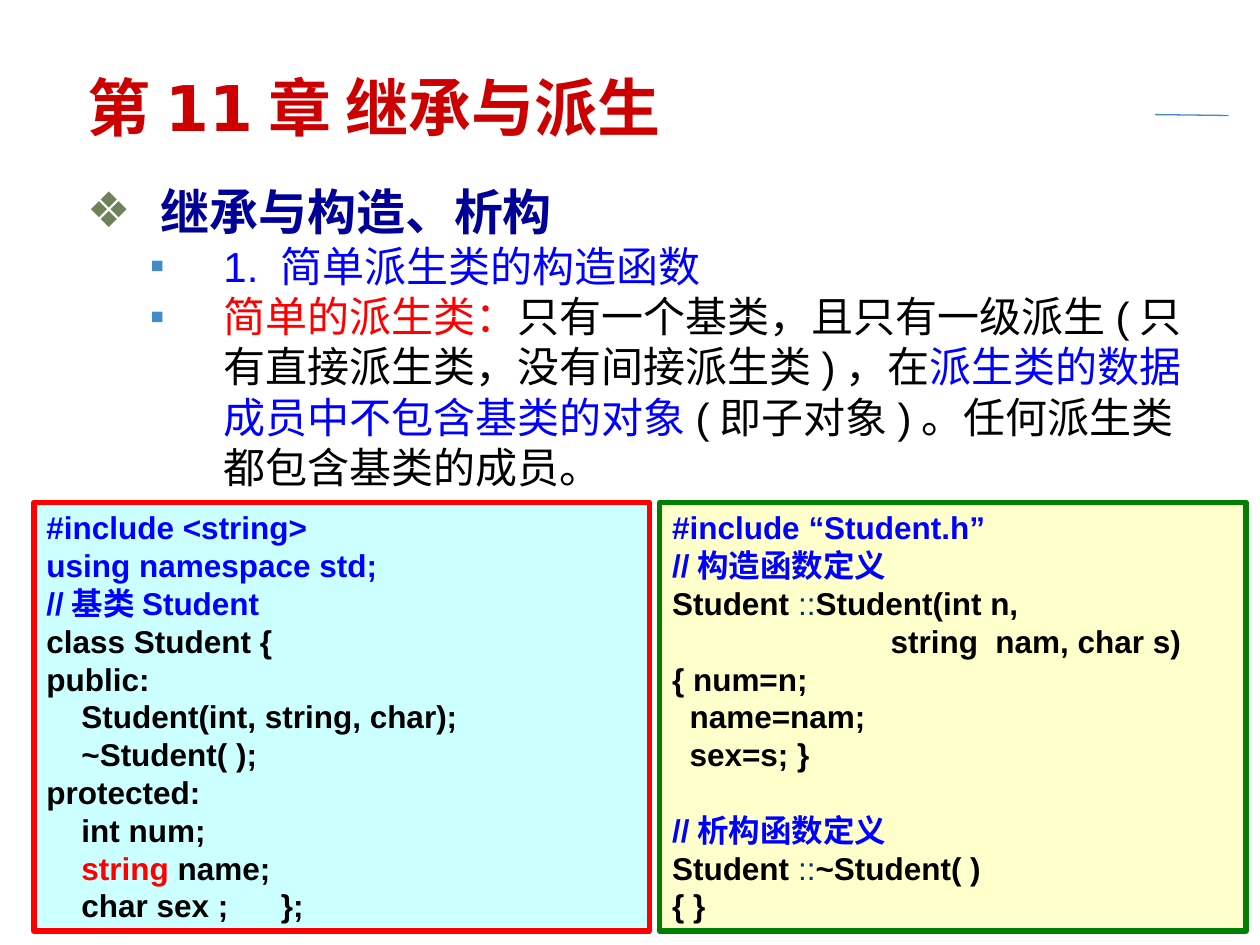
from dataclasses import dataclass

from lxml import etree
from pptx import Presentation
from pptx.dml.color import RGBColor
from pptx.enum import shapes, text
from pptx.oxml import ns
from pptx.util import Pt


@dataclass(frozen=True)
class Theme:
    title: str = "CC0000"
    heading: str = "000099"
    blue: str = "0000FF"
    red: str = "FF0000"
    black: str = "000000"
    scope: str = "003366"
    diamond: str = "6E815B"
    accent: str = "438ACB"
    cyan: str = "CCFFFF"
    yellow: str = "FFFFCC"
    green: str = "008000"
    title_size: float = 36
    heading_size: float = 28
    body_size: float = 24
    code_size: float = 18
    display_font: str = "DejaVu Sans"
    latin_font: str = "Arial"
    chinese_font: str = "Noto Sans CJK SC"
    leading: float = 1.2


THEME = Theme()

# Each line is a list of (text, colour) pieces.
POINTS = [
    [("1. 简单派生类的构造函数", THEME.blue)],
    [
        ("简单的派生类：", THEME.red),
        ("只有一个基类，且只有一级派生(只有直接派生类，没有间接派生类)，在", THEME.black),
        ("派生类的数据成员中不包含基类的对象", THEME.blue),
        ("(即子对象)。任何派生类都包含基类的成员。", THEME.black),
    ],
]
BASE_CLASS = [
    [("#include <string>", THEME.blue)],
    [("using namespace std;", THEME.blue)],
    [("//基类Student", THEME.blue)],
    [("class Student {", THEME.black)],
    [("public:", THEME.black)],
    [("    Student(int, string, char);", THEME.black)],
    [("    ~Student( );", THEME.black)],
    [("protected:", THEME.black)],
    [("    int num;", THEME.black)],
    [("   ", THEME.black), (" string", THEME.red), (" name;", THEME.black)],
    [("    char sex ;      };", THEME.black)],
]
MEMBER_FUNCTIONS = [
    [("#include “Student.h”", THEME.blue)],
    [("//构造函数定义", THEME.blue)],
    [("Student", THEME.black), (" ::", THEME.scope), ("Student(int n,", THEME.black)],
    [("                         string  nam, char s)", THEME.black)],
    [("{ num=n;", THEME.black)],
    [("  name=nam;", THEME.black)],
    [("  sex=s; }", THEME.black)],
    [],
    [("//析构函数定义", THEME.blue)],
    [("Student", THEME.black), (" ::", THEME.scope), ("~Student( )", THEME.black)],
    [("{ }", THEME.black)],
]


def apply(target, values):
    for name, value in values.items():
        setattr(target, name, value)


def place(shape, box):
    apply(shape, dict(zip(("left", "top", "width", "height"), map(Pt, box))))


def add_span(para, words, color, size, font, bold):
    span = para.add_run()
    span.text = words
    apply(span.font, {"size": Pt(size), "name": font, "bold": bold})
    span.font.color.rgb = RGBColor.from_string(color)
    east_asian = etree.SubElement(span._r.get_or_add_rPr(), ns.qn("a:ea"))
    east_asian.set("typeface", THEME.chinese_font)


def fill_para(para, pieces, size, font, bold=False):
    apply(para, {
        "alignment": text.PP_ALIGN.LEFT,
        "space_before": Pt(0),
        "space_after": Pt(0),
        "line_spacing": Pt(size * THEME.leading),
    })
    for words, color in pieces:
        add_span(para, words, color, size, font, bold and color != THEME.scope)


def add_bullet(para, mark, color, margin, hanging):
    properties = para._p.get_or_add_pPr()
    properties.set("marL", str(Pt(margin)))
    properties.set("indent", str(Pt(-hanging)))
    bullet_color = etree.SubElement(properties, ns.qn("a:buClr"))
    etree.SubElement(bullet_color, ns.qn("a:srgbClr")).set("val", color)
    etree.SubElement(properties, ns.qn("a:buChar")).set("char", mark)


def frame_paras(frame, count):
    """Return the frame's first paragraph followed by enough new ones."""
    return [frame.paragraphs[0]] + [frame.add_paragraph() for _ in range(count - 1)]


def build_title(page, box):
    title = page.shapes.title
    place(title, box)
    apply(title.text_frame, {
        "word_wrap": True,
        "auto_size": text.MSO_AUTO_SIZE.NONE,
        "vertical_anchor": text.MSO_ANCHOR.MIDDLE,
    })
    fill_para(title.text_frame.paragraphs[0], [("第11章 继承与派生", THEME.title)],
              THEME.title_size, THEME.display_font, bold=True)


def build_body(page, box):
    body = page.placeholders[1]
    place(body, box)
    apply(body.text_frame, {
        "word_wrap": True,
        "auto_size": text.MSO_AUTO_SIZE.NONE,
        "vertical_anchor": text.MSO_ANCHOR.TOP,
    })
    heading, *points = frame_paras(body.text_frame, len(POINTS) + 1)
    add_bullet(heading, "❖", THEME.diamond, 42, 42)
    fill_para(heading, [("继承与构造、析构", THEME.heading)],
              THEME.heading_size, THEME.display_font, bold=True)
    for para, pieces in zip(points, POINTS):
        para.level = 1
        add_bullet(para, "▪", THEME.accent, 78, 42)
        fill_para(para, pieces, THEME.body_size, THEME.latin_font)


def build_code(page, box, lines, fill, border):
    panel = page.shapes.add_shape(shapes.MSO_SHAPE.RECTANGLE, *map(Pt, box))
    panel.shadow.inherit = False
    panel.fill.solid()
    panel.fill.fore_color.rgb = RGBColor.from_string(fill)
    panel.line.color.rgb = RGBColor.from_string(border)
    panel.line.width = Pt(3)
    apply(panel.text_frame, {
        "word_wrap": True,
        "auto_size": text.MSO_AUTO_SIZE.SHAPE_TO_FIT_TEXT,
        "vertical_anchor": text.MSO_ANCHOR.TOP,
    })
    for para, pieces in zip(frame_paras(panel.text_frame, len(lines)), lines):
        fill_para(para, pieces, THEME.code_size, THEME.latin_font, bold=True)


def build_rule(page, box):
    left, top, width, height = box
    ends = map(Pt, (left, top, left + width, top + height))
    rule = page.shapes.add_connector(shapes.MSO_CONNECTOR.STRAIGHT, *ends)
    rule.line.color.rgb = RGBColor.from_string(THEME.accent)
    rule.line.width = Pt(0.75)
    etree.SubElement(rule._element.spPr, ns.qn("a:effectLst"))


def main():
    deck = Presentation()
    apply(deck, {"slide_width": Pt(720), "slide_height": Pt(540)})
    page = deck.slides.add_slide(deck.slide_layouts[1])
    build_rule(page, (660, 65.5, 42, 0.5))
    build_title(page, (43, 38, 611, 45))
    build_body(page, (42.5, 100, 658, 386))
    build_code(page, (19.5, 287, 351.5, 245), BASE_CLASS, THEME.cyan, THEME.red)
    build_code(page, (377, 287, 335, 245), MEMBER_FUNCTIONS, THEME.yellow, THEME.green)
    deck.save("out.pptx")


if __name__ == "__main__":
    main()
